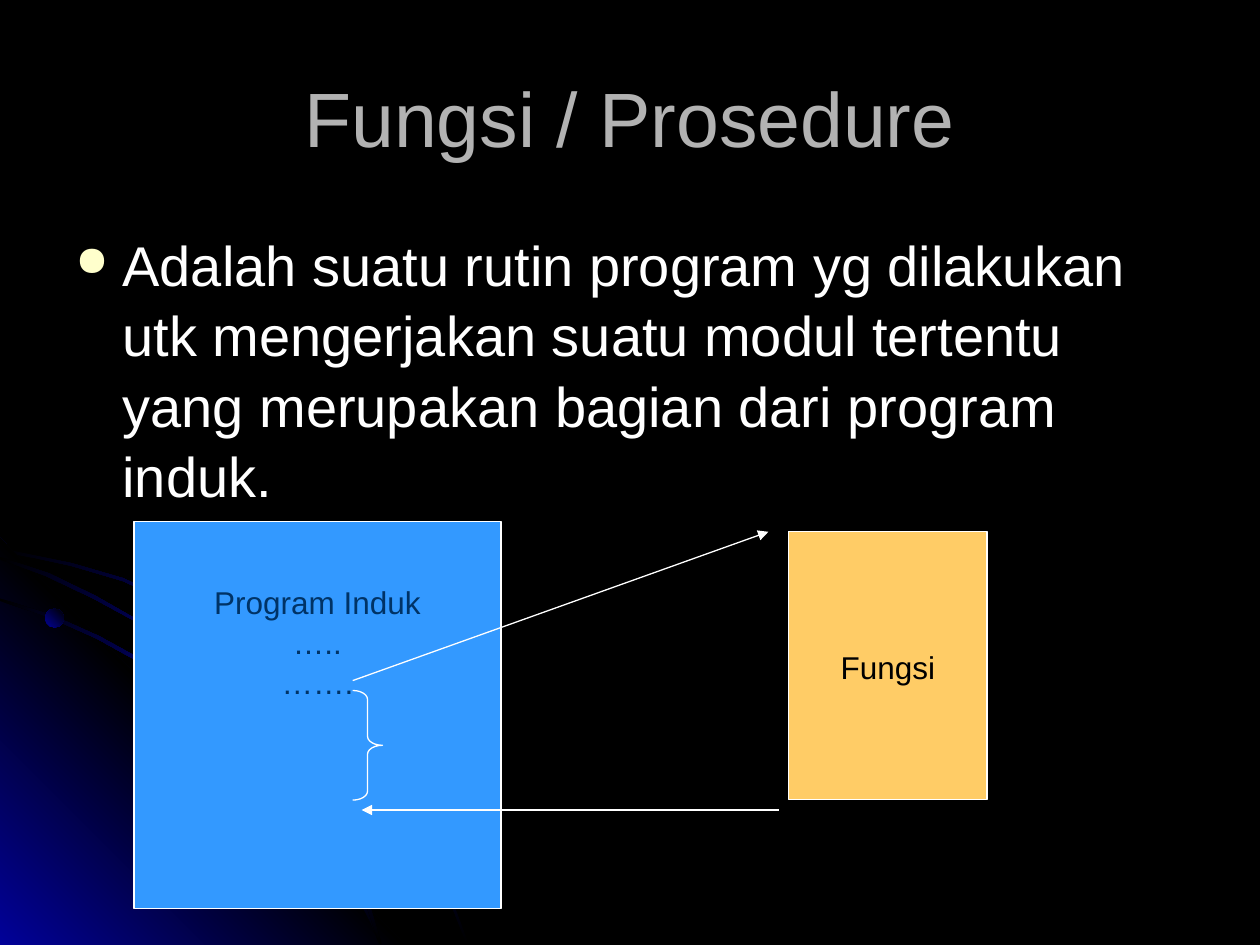
from lxml import etree
from pptx import Presentation
from pptx.dml.color import RGBColor
from pptx.enum.shapes import MSO_CONNECTOR, MSO_SHAPE
from pptx.enum.text import MSO_ANCHOR, PP_ALIGN
from pptx.oxml import parse_xml
from pptx.oxml.ns import nsdecls, qn
from pptx.util import Cm, Pt

RECTANGLE, OVAL, BRACE = MSO_SHAPE.RECTANGLE, MSO_SHAPE.OVAL, MSO_SHAPE.RIGHT_BRACE
STRAIGHT = MSO_CONNECTOR.STRAIGHT
CENTER, LEFT = PP_ALIGN.CENTER, PP_ALIGN.LEFT
TOP, MIDDLE = MSO_ANCHOR.TOP, MSO_ANCHOR.MIDDLE

COLORS = {
    "black": "000000", "white": "FFFFFF", "glow": "010199", "title": "B2B2B2",
    "bullet": "FFFFCC", "main": "3399FF", "main_text": "003366", "function": "FFCC66",
}


def color(name):
    return RGBColor.from_string(COLORS[name])


def set_gradient(shape, names, angle):
    """Fill with evenly spaced colour stops and no outline."""
    shape.shadow.inherit = False
    shape.line.fill.background()
    stops = "".join(
        f'<a:gs pos="{100000 * i // (len(names) - 1)}"><a:srgbClr val="{COLORS[name]}"/></a:gs>'
        for i, name in enumerate(names))
    gradient = parse_xml(f'<a:gradFill {nsdecls("a")} rotWithShape="1"><a:gsLst>{stops}</a:gsLst>'
                         f'<a:lin ang="{angle * 60000}" scaled="0"/></a:gradFill>')
    shape._element.spPr.find(qn("a:ln")).addprevious(gradient)


presentation = Presentation()
presentation.slide_width, presentation.slide_height = Cm(25.4), Cm(19.05)
slide = presentation.slides.add_slide(presentation.slide_layouts[6])
shapes = slide.shapes
slide.background.fill.solid()
slide.background.fill.fore_color.rgb = color("black")

# Background: light arcs and a glowing corner, points in hundredths of an inch
ARC = (["black", "glow", "black"], 45)
CORNER = (["glow", "black", "glow"], 315)
background_outlines = [
    (ARC, [(57, 447), (28, 441), (0, 435), (0, 438), (28, 443), (56, 449), (97, 461),
           (135, 478), (173, 499), (208, 523), (241, 549), (271, 579), (298, 612),
           (323, 649), (337, 673), (350, 698), (360, 723), (370, 749), (372, 749),
           (362, 723), (352, 698), (339, 673), (325, 648), (300, 611), (272, 578),
           (242, 548), (209, 521), (174, 497), (136, 477), (98, 459)]),
    (CORNER, [(322, 750), (0, 750), (0, 427)]),
    (ARC, [(285, 714), (294, 732), (301, 749), (303, 749), (296, 730), (286, 712),
           (266, 676), (242, 640), (215, 606), (184, 576), (152, 549), (117, 526),
           (79, 505), (41, 488), (0, 475), (0, 477), (39, 490), (77, 507), (115, 528),
           (150, 551), (183, 578), (213, 608), (240, 642), (265, 677)]),
    (ARC, [(0, 442), (0, 444), (36, 457), (74, 475), (109, 494), (142, 518), (173, 544),
           (202, 575), (227, 605), (252, 641), (267, 667), (280, 694), (292, 722),
           (301, 749), (303, 749), (294, 720), (282, 693), (269, 665), (254, 639),
           (229, 603), (204, 573), (175, 543), (144, 516), (111, 493), (76, 473),
           (39, 455)]),
]
for (names, angle), points in background_outlines:
    builder = shapes.build_freeform(*points[0], scale=Cm(2.54) / 100)
    builder.add_line_segments(points[1:], close=True)
    set_gradient(builder.convert_to_shape(), names, angle)
planet = shapes.add_shape(OVAL, Cm(0.91), Cm(12.27), Cm(0.38), Cm(0.38))
set_gradient(planet, ["glow", "black"], 315)


def add_text(shape, lines, size, color_name, alignment, anchor, line_spacing=1.0):
    frame = shape.text_frame
    frame.word_wrap = True
    frame.vertical_anchor = anchor
    frame.text = "\n".join(lines)
    for paragraph in frame.paragraphs:
        paragraph.alignment = alignment
        paragraph.line_spacing = line_spacing
        paragraph.font.name = "Arial"
        paragraph.font.size = Pt(size)
        paragraph.font.color.rgb = color(color_name)
    return frame


# Title
title = shapes.add_textbox(Cm(1.27), Cm(0.76), Cm(22.86), Cm(3.18))
add_text(title, ["Fungsi / Prosedure"], 44, "title", CENTER, MIDDLE)

# Definition with bullet
body = shapes.add_textbox(Cm(1.27), Cm(4.45), Cm(22.86), Cm(12.57))
definition = ("Adalah suatu rutin program yg dilakukan utk mengerjakan suatu modul "
              "tertentu yang merupakan bagian dari program induk.")
frame = add_text(body, [definition], 32, "white", LEFT, TOP, 1.05)
properties = frame.paragraphs[0]._p.get_or_add_pPr()
properties.set("marL", str(Cm(0.95)))
properties.set("indent", str(-Cm(0.95)))
bullet_color = etree.SubElement(properties, qn("a:buClr"))
etree.SubElement(bullet_color, qn("a:srgbClr"), val=COLORS["bullet"])
etree.SubElement(properties, qn("a:buSzPct"), val="75000")
etree.SubElement(properties, qn("a:buChar"), char="●")

# Main program, brace and function
diagram = [
    (RECTANGLE, (2.7, 10.52, 7.4, 7.8), "main", ["Program Induk", "…..", "……."], "main_text", TOP),
    (BRACE, (7.11, 13.92, 0.6, 2.21), None, [], None, None),
    (RECTANGLE, (15.9, 10.72, 4, 5.4), "function", ["Fungsi"], "black", MIDDLE),
]
for kind, box, fill_name, lines, text_color, anchor in diagram:
    shape = shapes.add_shape(kind, *map(Cm, box))
    shape.shadow.inherit = False
    shape.line.color.rgb = color("white")
    shape.line.width = Pt(0.75)
    if fill_name:
        shape.fill.solid()
        shape.fill.fore_color.rgb = color(fill_name)
        frame = add_text(shape, lines, 18, text_color, CENTER, anchor, 1.05)
        if anchor == TOP:
            frame.margin_top = Cm(1.2)
    else:
        shape.fill.background()
        shape.adjustments[0] = 0.3

# Call and return arrows
for ends in [(7.11, 13.72, 15.49, 10.72), (15.7, 16.33, 7.29, 16.33)]:
    arrow = shapes.add_connector(STRAIGHT, *map(Cm, ends))
    arrow.line.color.rgb = color("white")
    arrow.line.width = Pt(0.75)
    etree.SubElement(arrow.line._get_or_add_ln(), qn("a:tailEnd"), type="triangle")
    etree.SubElement(arrow._element.spPr, qn("a:effectLst"))

presentation.save("out.pptx")
